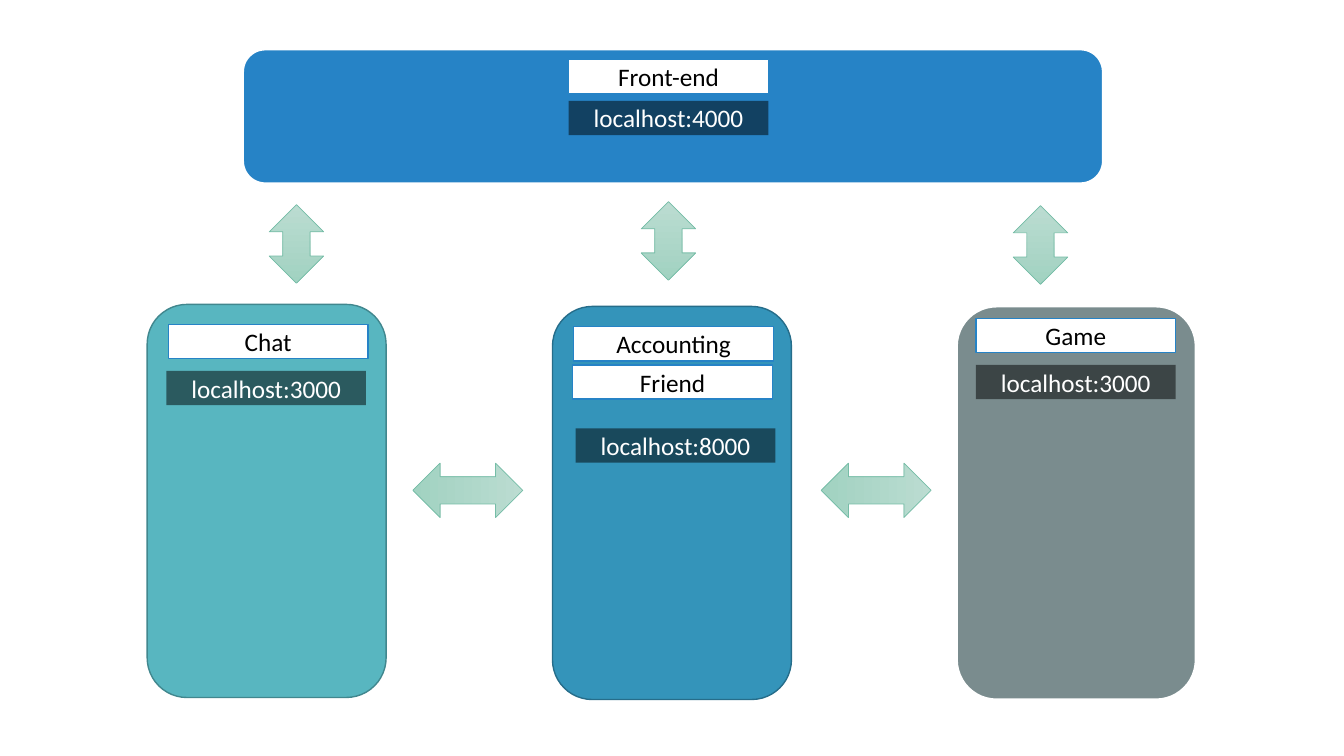
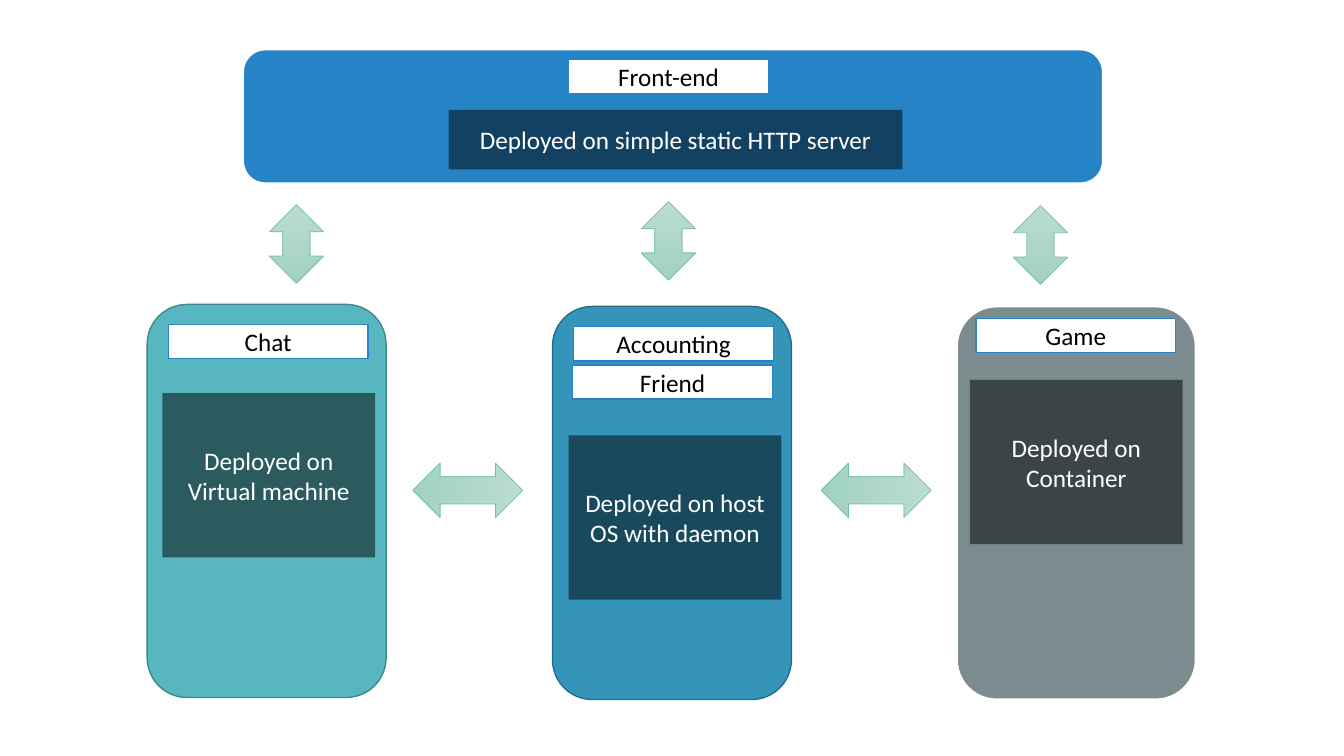
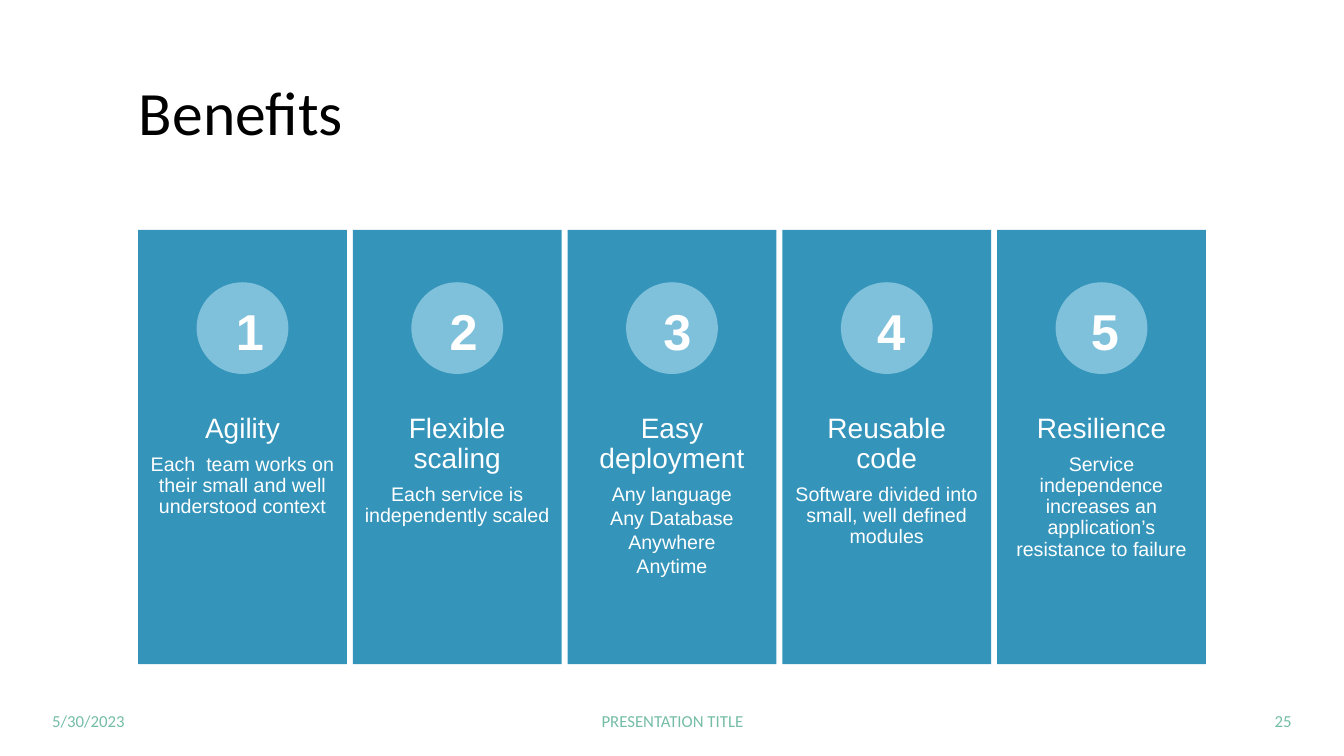
"""Build three slides on a service architecture and its benefits."""
from lxml.etree import SubElement
from pptx import Presentation
from pptx.dml.color import RGBColor
from pptx.enum.shapes import MSO_SHAPE
from pptx.enum.text import MSO_ANCHOR, PP_ALIGN
from pptx.oxml.ns import qn
from pptx.util import Inches, Pt

WHITE = RGBColor(0xFF, 0xFF, 0xFF)
BLACK = RGBColor(0x00, 0x00, 0x00)
BLUE = RGBColor(0x26, 0x83, 0xC6)
TEAL = RGBColor(0x58, 0xB6, 0xC0)
TEAL_EDGE = RGBColor(0x41, 0x87, 0x8E)
STEEL = RGBColor(0x34, 0x94, 0xBA)
STEEL_EDGE = RGBColor(0x26, 0x6D, 0x8A)
GRAY = RGBColor(0x7A, 0x8C, 0x8E)
PALE_BLUE = RGBColor(0x7F, 0xC1, 0xDB)
GREEN = RGBColor(0x75, 0xBD, 0xA7)
GREEN_LIGHT = RGBColor(0xBB, 0xDC, 0xD1)
GREEN_DARK = RGBColor(0xA1, 0xD2, 0xC1)

HEADING_FONT = "Calibri"
CARD_FONT = "Arial"

PANELS = [
    ((1.46, 3.02, 2.37, 3.9), TEAL, TEAL_EDGE, 1),
    ((5.48, 3.04, 2.37, 3.9), STEEL, STEEL_EDGE, 1),
    ((9.49, 3.04, 2.37, 3.9), GRAY, WHITE, 1.5),
    ((2.41, 0.49, 8.53, 1.33), BLUE, WHITE, 1.5),
]
NAMES = [
    ("Front-end", 5.64, 0.59),
    ("Chat", 1.67, 3.22),
    ("Game", 9.68, 3.16),
    ("Accounting", 5.69, 3.24),
    ("Friend", 5.68, 3.62),
]
ARROWS = [
    ((2.67, 2.03, 0.54, 0.78), 0),
    ((6.36, 2, 0.54, 0.78), 0),
    ((10.05, 2.04, 0.54, 0.78), 0),
    ((4.37, 4.32, 0.54, 1.09), 90),
    ((8.42, 4.32, 0.54, 1.09), 90),
]
LABEL_SIZE = (1.98, 0.34)
DEPLOY_SIZE = (2.11, 1.63)
ADDRESSES = [
    ("localhost:4000", (5.64, 1, *LABEL_SIZE)),
    ("localhost:3000", (1.65, 3.68, *LABEL_SIZE)),
    ("localhost:3000", (9.68, 3.62, *LABEL_SIZE)),
    ("localhost:8000", (5.71, 4.25, *LABEL_SIZE)),
]
DEPLOYMENTS = [
    ("Deployed on simple static HTTP server", (4.45, 1.09, 4.5, 0.59)),
    ("Deployed on Virtual machine", (1.61, 3.9, *DEPLOY_SIZE)),
    ("Deployed on host OS with daemon", (5.64, 4.32, *DEPLOY_SIZE)),
    ("Deployed on Container", (9.62, 3.77, *DEPLOY_SIZE)),
]
BENEFITS = [
    ("Agility", ["Each  team works on their small and well understood context"]),
    ("Flexible scaling", ["Each service is independently scaled"]),
    ("Easy deployment", ["Any language", "Any Database", "Anywhere", "Anytime"]),
    ("Reusable code", ["Software divided into small, well defined modules"]),
    ("Resilience", ["Service independence increases an application’s resistance to failure"]),
]
FOOTERS = [
    ("5/30/2023", (0.42, 6.95, 1.86, 0.4), PP_ALIGN.LEFT),
    ("PRESENTATION TITLE", (4.42, 6.95, 4.5, 0.4), PP_ALIGN.CENTER),
    ("25", (11.1, 6.95, 1.81, 0.4), PP_ALIGN.RIGHT),
]


def add_paragraph(frame, text, size=18, font=HEADING_FONT, color=WHITE, bold=False,
                  align=PP_ALIGN.CENTER, spacing=1.0, after=0):
    """Write one formatted paragraph, using the empty first one if there is one."""
    first = frame.paragraphs[0]
    para = frame.add_paragraph() if first.runs else first
    para.alignment = align
    para.line_spacing = spacing
    para.space_after = Pt(after)
    span = para.add_run()
    span.text = text
    span.font.size = Pt(size)
    span.font.name = font
    span.font.bold = bold
    span.font.color.rgb = color


def add_frame(page, place, anchor=MSO_ANCHOR.TOP):
    """Add a wrapping text box and return its text frame."""
    frame = page.shapes.add_textbox(*map(Inches, place)).text_frame
    frame.word_wrap = True
    frame.vertical_anchor = anchor
    return frame


def add_box(page, kind, place, fill=None, line=None, width=1):
    """Add a preset shape without a shadow."""
    box = page.shapes.add_shape(kind, *map(Inches, place))
    box.shadow.inherit = False
    if fill is not None:
        box.fill.solid()
        box.fill.fore_color.rgb = fill
    if line is None:
        box.line.fill.background()
    else:
        box.line.color.rgb = line
        box.line.width = Pt(width)
    return box


def add_name(page, text, left, top):
    """Add a white service name label."""
    box = add_box(page, MSO_SHAPE.RECTANGLE, (left, top, *LABEL_SIZE), WHITE, BLUE)
    add_paragraph(box.text_frame, text, color=BLACK)


def add_detail(page, text, place):
    """Add a half-transparent black label."""
    box = add_box(page, MSO_SHAPE.RECTANGLE, place, BLACK)
    color = box.element.spPr.find(qn("a:solidFill")).find(qn("a:srgbClr"))
    SubElement(color, qn("a:alpha")).set("val", "50000")
    add_paragraph(box.text_frame, text)


def add_arrow(page, place, rotation):
    """Add a two-headed gradient arrow."""
    arrow = add_box(page, MSO_SHAPE.UP_DOWN_ARROW, place, line=GREEN, width=0.5)
    arrow.fill.gradient()
    arrow.fill.gradient_angle = 270
    for stop, color in zip(arrow.fill.gradient_stops, (GREEN_LIGHT, GREEN_DARK)):
        stop.color.rgb = color
    arrow.rotation = rotation


def build_architecture(page, details):
    """Draw the service diagram with one set of details."""
    for place, fill, line, width in PANELS:
        add_box(page, MSO_SHAPE.ROUNDED_RECTANGLE, place, fill, line, width)
    for name in NAMES:
        add_name(page, *name)
    for arrow in ARROWS:
        add_arrow(page, *arrow)
    for detail in details:
        add_detail(page, *detail)


def add_benefit(page, index, heading, lines):
    """Add one numbered benefit column."""
    left = 1.37 + 2.13 * index
    add_box(page, MSO_SHAPE.RECTANGLE, (left, 2.28, 2.07, 4.31), STEEL)
    frame = add_frame(page, (left, 4, 2.07, 1.72))
    frame.margin_left = frame.margin_right = Inches(0.11)
    frame.margin_top = frame.margin_bottom = Inches(0.11)
    add_paragraph(frame, heading, size=20, font=CARD_FONT, spacing=0.9, after=7)
    for line in lines:
        add_paragraph(frame, line, size=14, font=CARD_FONT, spacing=0.9, after=2.1)
    add_box(page, MSO_SHAPE.OVAL, (left + 0.58, 2.8, 0.91, 0.91), PALE_BLUE)
    number = add_frame(page, (2.24 + 2.12 * index, 2.93, 0.38, 0.71))
    add_paragraph(number, str(index + 1), size=36, font=CARD_FONT, bold=True)


def build_benefits(page):
    """Draw the title, the benefit columns and the footer."""
    title = add_frame(page, (1.28, 0.42, 10.69, 1.45), MSO_ANCHOR.MIDDLE)
    add_paragraph(title, "Benefits", size=44, color=BLACK, align=PP_ALIGN.LEFT, spacing=0.9)
    for index, (heading, lines) in enumerate(BENEFITS):
        add_benefit(page, index, heading, lines)
    for text, place, align in FOOTERS:
        footer = add_frame(page, place, MSO_ANCHOR.MIDDLE)
        add_paragraph(footer, text, size=12, color=GREEN, align=align)


def main():
    """Build and save the deck."""
    deck = Presentation()
    deck.slide_width = Inches(13.33)
    deck.slide_height = Inches(7.5)
    blank = deck.slide_layouts[6]
    for details in (ADDRESSES, DEPLOYMENTS):
        build_architecture(deck.slides.add_slide(blank), details)
    build_benefits(deck.slides.add_slide(blank))
    deck.save("out.pptx")


if __name__ == "__main__":
    main()
